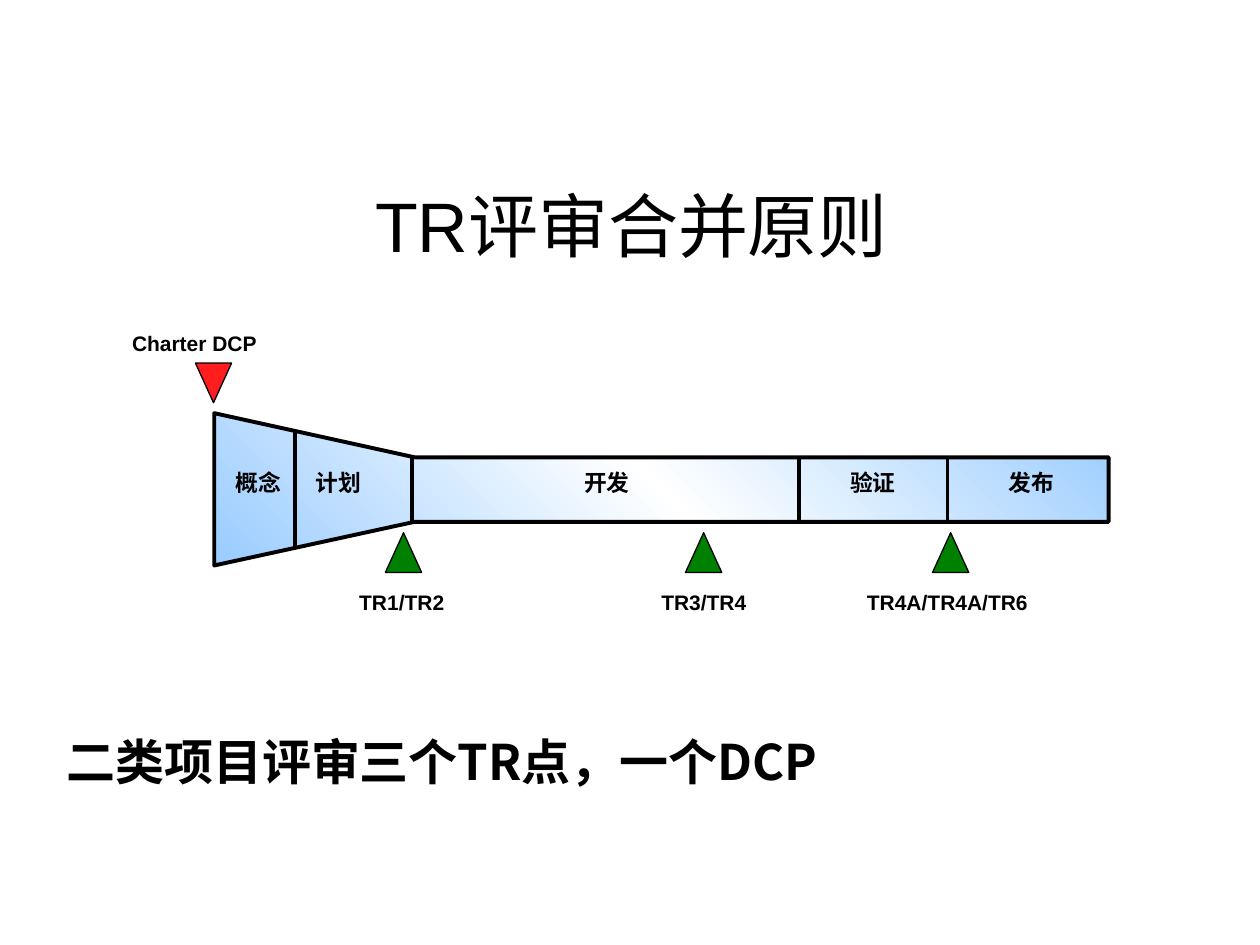
from copy import deepcopy
from dataclasses import dataclass

from lxml.etree import SubElement
from pptx import Presentation
from pptx.dml.color import RGBColor
from pptx.enum.shapes import MSO_CONNECTOR, MSO_SHAPE
from pptx.enum.text import MSO_ANCHOR, MSO_AUTO_SIZE, PP_ALIGN
from pptx.oxml.ns import qn
from pptx.util import Cm, Pt


@dataclass(frozen=True)
class Theme:
    ink: RGBColor = RGBColor(0, 0, 0)
    blue: RGBColor = RGBColor(0x99, 0xCC, 0xFF)
    white: RGBColor = RGBColor(0xFF, 0xFF, 0xFF)
    red: RGBColor = RGBColor(0xFF, 0x1D, 0x1D)
    green: RGBColor = RGBColor(0, 0x80, 0)
    latin: str = "Arial"
    cjk: str = "Noto Sans CJK SC"
    title: float = 40
    headline: float = 28
    phase: float = 13
    gate: float = 12
    thick: float = 2.25
    thin: float = 0.75


@dataclass(frozen=True)
class Phase:
    name: str
    left: float
    width: float


@dataclass(frozen=True)
class Gate:
    name: str
    mark_left: float
    label_center: float
    label_width: float


T = Theme()

# Pipeline outline in cm: a funnel that narrows into a straight bar
LEFT, NECK, RIGHT = 4.32, 8.36, 22.35
FUNNEL_TOP, FUNNEL_BOTTOM = 8.33, 11.4
BAR_TOP, BAR_BOTTOM = 9.22, 10.52
DIVIDERS = (5.94, 8.31, 16.1, 19.1)

PHASES = (
    Phase("概念", 4.5, 1.63),
    Phase("计划", 6.12, 1.45),
    Phase("开发", 11.53, 1.57),
    Phase("验证", 16.89, 2.01),
    Phase("发布", 20.09, 2.01),
)
CHARTER = Gate("Charter DCP", 3.94, 3.92, 3.28)
REVIEWS = (
    Gate("TR1/TR2", 7.77, 8.1, 2.39),
    Gate("TR3/TR4", 13.82, 14.19, 2.57),
    Gate("TR4A/TR4A/TR6", 18.8, 19.1, 4.01),
)


def add_text(s, text: str, left: float, top: float, width: float, height: float,
             size: float, bold: bool = True, font: str = T.latin,
             align=PP_ALIGN.LEFT, anchor=MSO_ANCHOR.TOP,
             fit=MSO_AUTO_SIZE.NONE, before: float = 0) -> None:
    tf = s.shapes.add_textbox(Cm(left), Cm(top), Cm(width), Cm(height)).text_frame
    tf.word_wrap = True
    tf.auto_size = fit
    tf.vertical_anchor = anchor
    tf.text = text
    p = tf.paragraphs[0]
    p.alignment = align
    p.space_before = Pt(before)
    r = p.runs[0]
    r.font.size, r.font.bold, r.font.name = Pt(size), bold, font
    r.font.color.rgb = T.ink
    SubElement(r.font._element, qn("a:ea")).set("typeface", T.cjk)


def set_line(line, width: float) -> None:
    line.color.rgb = T.ink
    line.width = Pt(width)


def funnel_edges(x: float) -> tuple[float, float]:
    """Top and bottom of the pipeline outline at x."""
    t = min((x - LEFT) / (NECK - LEFT), 1)
    return (FUNNEL_TOP + t * (BAR_TOP - FUNNEL_TOP),
            FUNNEL_BOTTOM + t * (BAR_BOTTOM - FUNNEL_BOTTOM))


def add_pipeline(s) -> None:
    points = [(NECK, BAR_TOP), (RIGHT, BAR_TOP), (RIGHT, BAR_BOTTOM),
              (NECK, BAR_BOTTOM), (LEFT, FUNNEL_BOTTOM)]
    fb = s.shapes.build_freeform(Cm(LEFT), Cm(FUNNEL_TOP))
    fb.add_line_segments([(Cm(x), Cm(y)) for x, y in points], close=True)
    sp = fb.convert_to_shape()
    sp.shadow.inherit = False
    set_line(sp.line, T.thick)
    sp.fill.gradient()
    sp.fill.gradient_angle = 45
    stops = sp._element.spPr.find(".//" + qn("a:gsLst"))
    stops.insert(1, deepcopy(stops[0]))
    colors = (T.blue, T.white, T.blue)
    for stop, position, color in zip(sp.fill.gradient_stops, (0, 0.5, 1), colors):
        stop.position = position
        stop.color.rgb = color


def add_divider(s, x: float) -> None:
    top, bottom = funnel_edges(x)
    line = s.shapes.add_connector(MSO_CONNECTOR.STRAIGHT,
                                  Cm(x), Cm(top), Cm(x), Cm(bottom))
    set_line(line.line, T.thick)
    SubElement(line._element.spPr, qn("a:effectLst"))


def add_gate(s, gate: Gate, mark_top: float, label_top: float,
             color: RGBColor, down: bool = False) -> None:
    sp = s.shapes.add_shape(MSO_SHAPE.ISOSCELES_TRIANGLE, Cm(gate.mark_left),
                            Cm(mark_top), Cm(0.73), Cm(0.8))
    sp.shadow.inherit = False
    sp.fill.solid()
    sp.fill.fore_color.rgb = color
    set_line(sp.line, T.thin)
    if down:
        sp._element.spPr.xfrm.set("flipV", "1")
    add_text(s, gate.name, gate.label_center - gate.label_width / 2, label_top,
             gate.label_width, 0.76, T.gate, align=PP_ALIGN.CENTER,
             fit=MSO_AUTO_SIZE.SHAPE_TO_FIT_TEXT, before=7.5)


def main() -> None:
    prs = Presentation()
    prs.slide_width, prs.slide_height = Cm(25.4), Cm(19.05)
    s = prs.slides.add_slide(prs.slide_layouts[6])

    add_text(s, "TR评审合并原则", 1.3, 3.53, 22.86, 2.01, T.title, bold=False,
             align=PP_ALIGN.CENTER, anchor=MSO_ANCHOR.MIDDLE)
    add_pipeline(s)
    for x in DIVIDERS:
        add_divider(s, x)
    for phase in PHASES:
        add_text(s, phase.name, phase.left, 9.32, phase.width, 0.81, T.phase,
                 fit=MSO_AUTO_SIZE.SHAPE_TO_FIT_TEXT)
    add_gate(s, CHARTER, 7.32, 6.53, T.red, down=True)
    for gate in REVIEWS:
        add_gate(s, gate, 10.74, 11.76, T.green)
    add_text(s, "二类项目评审三个TR点，一个DCP", 1.09, 14.33, 22.86, 2.01,
             T.headline, font=T.cjk, anchor=MSO_ANCHOR.MIDDLE)

    prs.save("out.pptx")


if __name__ == "__main__":
    main()
